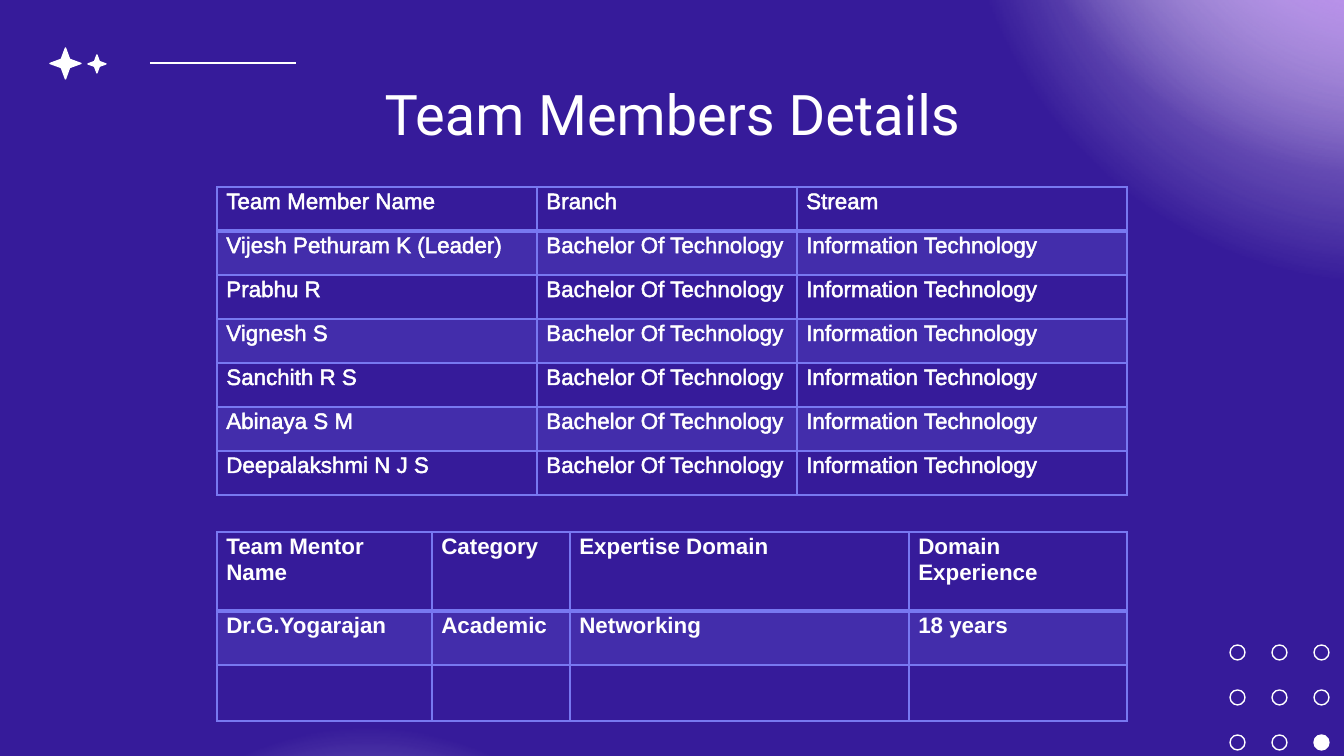
"""Build the team members details slide."""
from dataclasses import dataclass
from itertools import product

from pptx import Presentation
from pptx.dml.color import RGBColor
from pptx.enum.shapes import MSO_CONNECTOR, MSO_SHAPE
from pptx.enum.text import MSO_ANCHOR, MSO_AUTO_SIZE, PP_ALIGN
from pptx.oxml import parse_xml
from pptx.oxml.ns import nsdecls
from pptx.oxml.xmlchemy import OxmlElement
from pptx.util import Emu, Pt

EMU_PER_PX = 914400 / 134.4
SLIDE_W, SLIDE_H = 1344, 756

INDIGO = RGBColor(0x36, 0x1B, 0x9A)
PERIWINKLE = RGBColor(0x78, 0x78, 0xF1)
WHITE = RGBColor(0xFF, 0xFF, 0xFF)
AQUA = RGBColor(0x9A, 0xDE, 0xE7)
ORCHID = RGBColor(0xC5, 0x68, 0xFF)

ELLIPSE, STAR = MSO_SHAPE.OVAL, MSO_SHAPE.STAR_4_POINT
STRAIGHT = MSO_CONNECTOR.STRAIGHT
TOP, CENTER, NO_FIT = MSO_ANCHOR.TOP, PP_ALIGN.CENTER, MSO_AUTO_SIZE.NONE

TITLE_FRAME = {"word_wrap": True, "auto_size": NO_FIT, "vertical_anchor": TOP,
               "margin_left": Pt(7.2), "margin_right": Pt(7.2),
               "margin_top": Pt(7.2), "margin_bottom": Pt(7.2)}
TITLE_FONT = {"name": "Roboto", "size": Pt(30), "bold": False}
CELL_MARGINS = {"margin_left": Pt(5), "margin_right": Pt(5),
                "margin_top": 0, "margin_bottom": 0}
CELL_PARAGRAPH = {"line_spacing": 1.07, "space_after": Pt(8)}
CELL_FONT = {"name": "Arial", "size": Pt(12)}
PLAIN_TABLE = {"first_row": False, "horz_banding": False}


@dataclass
class Glow:
    """A soft round light that fades out."""
    left: int
    top: int
    width: int
    height: int
    color: RGBColor
    fade_end: int


@dataclass
class Star:
    """A four-pointed sparkle."""
    left: int
    top: int
    size: int


@dataclass
class Grid:
    """A bordered table with a shaded second row in every pair."""
    top: int
    columns: list[int]
    rows: list[int]
    cells: list[list[str]]
    bold: bool
    outlined: bool


GLOWS = [Glow(829, -567, 1101, 730, AQUA, 57),
         Glow(0, 657, 734, 734, AQUA, 57),
         Glow(894, -640, 991, 992, ORCHID, 61)]
STARS = [Star(50, 48, 31), Star(88, 55, 18)]
DOT_LEFT, DOT_TOP, DOT_SIZE, DOT_STEP_X, DOT_STEP_Y = 1230, 645, 15, 42, 45
GRID_LEFT = 217

MEMBERS = ["Vijesh Pethuram K (Leader)", "Prabhu R", "Vignesh S",
           "Sanchith R S", "Abinaya S M", "Deepalakshmi N J S"]
TEAM = Grid(187, [320, 260, 330], [44] * 7,
            [["Team Member Name", "Branch", "Stream"]]
            + [[member, "Bachelor Of Technology", "Information Technology"]
               for member in MEMBERS],
            bold=False, outlined=True)
MENTORS = Grid(532, [215, 138, 339, 218], [79, 54, 56],
               [["Team Mentor Name", "Category", "Expertise Domain", "Domain Experience"],
                ["Dr.G.Yogarajan", "Academic", "Networking", "18 years"],
                [""] * 4],
               bold=True, outlined=False)


def px(length: int) -> Emu:
    """Turn px into EMU."""
    return Emu(round(length * EMU_PER_PX))


def apply(target, values: dict) -> None:
    """Set every format value on the target."""
    for name, value in values.items():
        setattr(target, name, value)


def add_glow(slide, glow: Glow) -> None:
    """Draw a glow with a circular gradient."""
    light = slide.shapes.add_shape(
        ELLIPSE, *map(px, (glow.left, glow.top, glow.width, glow.height)))
    light.rotation = 90
    light.shadow.inherit = False
    light.line.fill.background()
    clear = f'<a:srgbClr val="{WHITE}"><a:alpha val="0"/></a:srgbClr>'
    light._element.spPr.insert(2, parse_xml(
        f'<a:gradFill {nsdecls("a")} rotWithShape="1"><a:gsLst>'
        f'<a:gs pos="0"><a:srgbClr val="{glow.color}"/></a:gs>'
        f'<a:gs pos="{glow.fade_end * 1000}">{clear}</a:gs>'
        f'<a:gs pos="100000">{clear}</a:gs></a:gsLst><a:path path="circle">'
        '<a:fillToRect l="50000" t="50000" r="50000" b="50000"/>'
        '</a:path></a:gradFill>'))


def add_ornament(slide, preset, left: int, top: int, size: int, filled: bool):
    """Draw a small white ornament, solid or hollow."""
    ornament = slide.shapes.add_shape(preset, *map(px, (left, top, size, size)))
    ornament.shadow.inherit = False
    if filled:
        ornament.fill.solid()
        ornament.fill.fore_color.rgb = WHITE
    else:
        ornament.fill.background()
    ornament.line.color.rgb = WHITE
    ornament.line.width = Pt(0.75)
    return ornament


def add_rule(slide, left: int, right: int, y: int) -> None:
    """Draw the white line beside the stars."""
    rule = slide.shapes.add_connector(STRAIGHT, *map(px, (left, y, right, y)))
    rule.line.color.rgb = WHITE
    rule.line.width = Pt(1.5)
    rule._element.spPr.append(OxmlElement("a:effectLst"))


def stroke(tag: str, color: RGBColor, points: float):
    """Return a solid line element."""
    return parse_xml(
        f'<a:{tag} {nsdecls("a")} w="{Pt(points)}"><a:solidFill>'
        f'<a:srgbClr val="{color}"/></a:solidFill></a:{tag}>')


def format_cell(cell, row: int, text: str, grid: Grid) -> None:
    """Write one cell with its borders, shade and text."""
    apply(cell, CELL_MARGINS)
    properties = cell._tc.get_or_add_tcPr()
    widths = {"lnL": 1, "lnR": 1, "lnT": 2 if row == 1 else 1, "lnB": 2 if row == 0 else 1}
    for side, points in widths.items():
        properties.append(stroke(side, PERIWINKLE, points))
    if row % 2:
        cell.fill.solid()
        cell.fill.fore_color.rgb = PERIWINKLE
        alpha = OxmlElement("a:alpha")
        alpha.set("val", "20000")
        properties.find(".//{*}solidFill[last()]")
        properties[-1][0].append(alpha)
    else:
        cell.fill.background()
    if text:
        paragraph = cell.text_frame.paragraphs[0]
        apply(paragraph, CELL_PARAGRAPH)
        run = paragraph.add_run()
        run.text = text
        apply(run.font, CELL_FONT | {"bold": grid.bold})
        run.font.color.rgb = WHITE
        if grid.outlined:
            run._r.get_or_add_rPr().insert(0, stroke("ln", WHITE, 0.75))


def add_grid(slide, grid: Grid) -> None:
    """Draw a table from its grid."""
    table = slide.shapes.add_table(
        len(grid.rows), len(grid.columns), px(GRID_LEFT), px(grid.top),
        px(sum(grid.columns)), px(sum(grid.rows))).table
    apply(table, PLAIN_TABLE)
    for column, width in zip(table.columns, grid.columns):
        column.width = px(width)
    for row, height in zip(table.rows, grid.rows):
        row.height = px(height)
    for row, texts in enumerate(grid.cells):
        for column, text in enumerate(texts):
            format_cell(table.cell(row, column), row, text, grid)


def add_title(slide, text: str) -> None:
    """Place and format the title."""
    title = slide.shapes.title
    apply(title, {"left": px(106), "top": px(66), "width": px(1133), "height": px(85)})
    title.text = text
    apply(title.text_frame, TITLE_FRAME)
    heading = title.text_frame.paragraphs[0]
    heading.alignment = CENTER
    apply(heading.runs[0].font, TITLE_FONT)
    heading.runs[0].font.color.rgb = WHITE


def main() -> None:
    """Build and save the slide."""
    deck = Presentation()
    apply(deck, {"slide_width": px(SLIDE_W), "slide_height": px(SLIDE_H)})
    slide = deck.slides.add_slide(deck.slide_layouts[5])
    slide.background.fill.solid()
    slide.background.fill.fore_color.rgb = INDIGO
    for glow in GLOWS:
        add_glow(slide, glow)
    for star in STARS:
        sparkle = add_ornament(slide, STAR, star.left, star.top, star.size, True)
        sparkle.adjustments[0] = 0.19
    for row, column in product(range(3), repeat=2):
        add_ornament(slide, ELLIPSE, DOT_LEFT + column * DOT_STEP_X,
                     DOT_TOP + row * DOT_STEP_Y, DOT_SIZE, row == column == 2)
    add_rule(slide, 150, 296, 63)
    add_title(slide, "Team Members Details")
    for grid in (TEAM, MENTORS):
        add_grid(slide, grid)
    deck.save("out.pptx")


if __name__ == "__main__":
    main()
